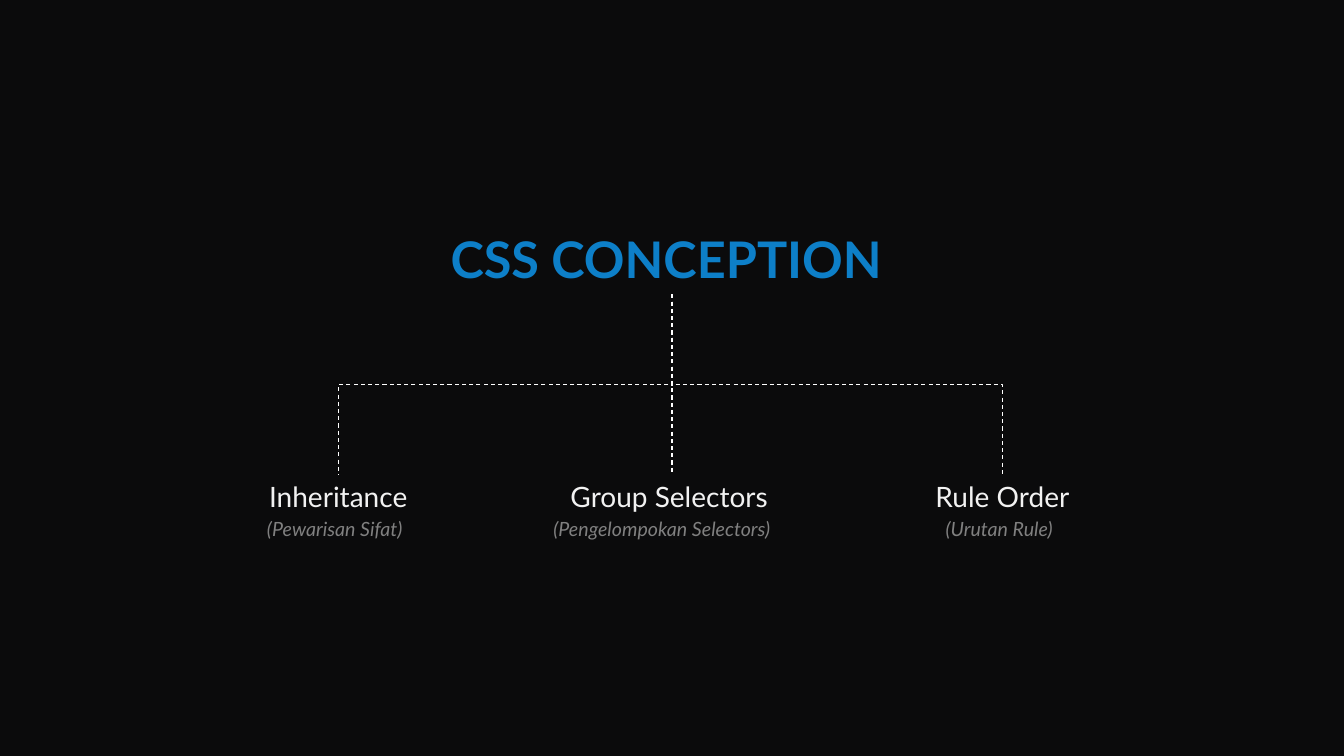
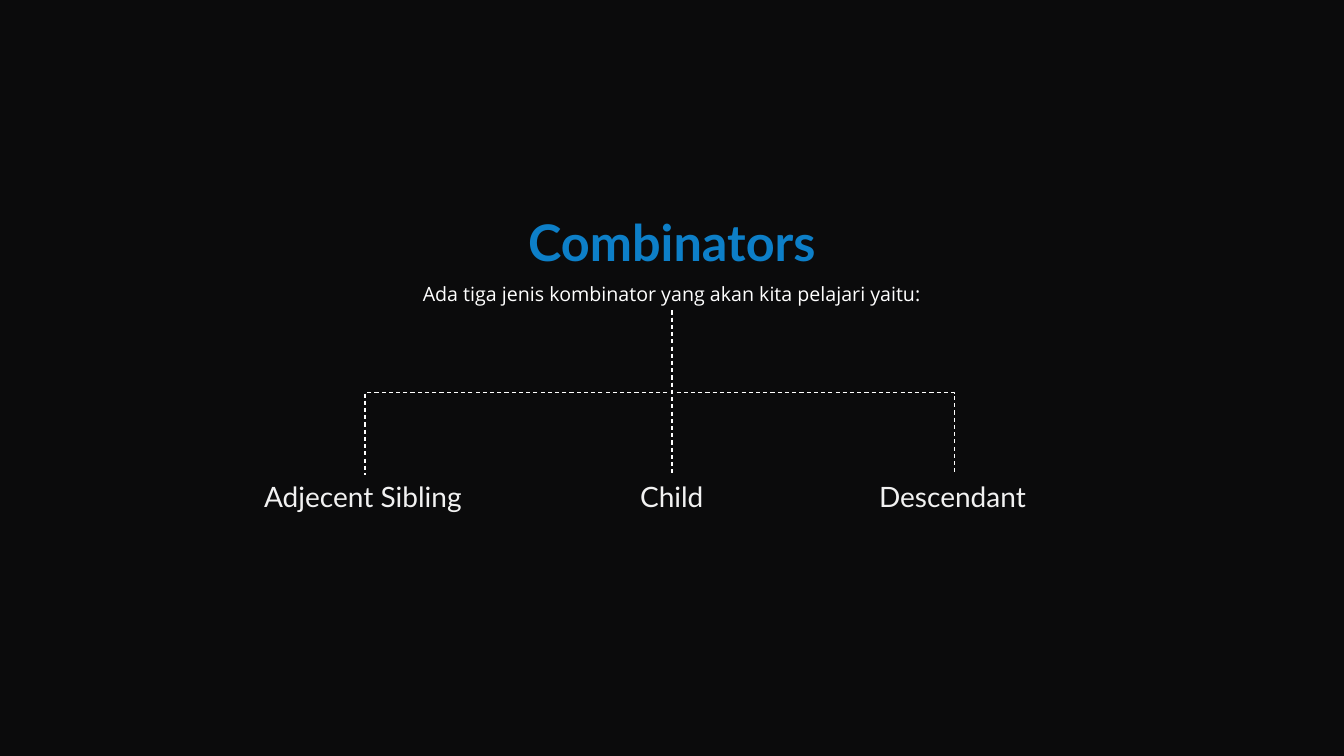
from lxml import etree
from pptx import Presentation
from pptx import util as u
from pptx.dml.color import RGBColor
from pptx.enum import dml, shapes, text
from pptx.oxml.ns import qn

BACKGROUND = RGBColor(0x0B, 0x0B, 0x0C)
BLUE = RGBColor(0x0D, 0x7F, 0xC8)
WHITE = RGBColor(0xFF, 0xFF, 0xFF)
PALE = RGBColor(0xF2, 0xF2, 0xF2)
GRAY = RGBColor(0x80, 0x80, 0x80)

WIDTH, HEIGHT = 13.33, 7.5
CENTER = WIDTH / 2
BRANCH_TOP, NOTE_TOP = 4.71, 5.08

# Style: font, size, colour, bold, italic, box height
TITLE = ("Lato", 36, BLUE, True, False, 0.71)
INTRO = ("Open Sans", 14, WHITE, False, False, 0.34)
BRANCH = ("Lato", 20, PALE, False, False, 0.44)
NOTE = ("Lato", 14, GRAY, False, True, 0.34)

# Heading: text, style, top, width, centred
# Branch: line end, then (text, left, width) for the name and its note
SLIDES = [
    {
        "headings": [("CSS CONCEPTION", TITLE, 2.21, 4.59, False)],
        "trunk_top": 2.92,
        "branches": [
            (3.36, ("Inheritance", 2.57, 1.58), ("(Pewarisan Sifat)", 2.55, 1.64)),
            (CENTER, ("Group Selectors", 5.56, 2.21),
             ("(Pengelompokan Selectors)", 5.39, 2.56)),
            (9.94, ("Rule Order", 9.18, 1.53), ("(Urutan Rule)", 9.28, 1.32)),
        ],
    },
    {
        "headings": [
            ("Combinators", TITLE, 2.04, WIDTH, True),
            ("Ada tiga jenis kombinator yang akan kita pelajari yaitu:",
             INTRO, 2.75, WIDTH, True),
        ],
        "trunk_top": 3.08,
        "branches": [
            (3.62, ("Adjecent Sibling", 2.52, 2.18)),
            (CENTER, ("Child", 6.25, 0.84)),
            (9.47, ("Descendant", 8.62, 1.68)),
        ],
    },
]


def add_label(slide, words, style, left, top, width, centred=False):
    font_name, size, color, bold, italic, height = style
    label = slide.shapes.add_textbox(*map(u.Inches, (left, top, width, height)))
    frame = label.text_frame
    frame.text = words
    frame.word_wrap = centred
    frame.auto_size = text.MSO_AUTO_SIZE.SHAPE_TO_FIT_TEXT
    paragraph = frame.paragraphs[0]
    paragraph.alignment = text.PP_ALIGN.CENTER if centred else text.PP_ALIGN.LEFT
    font = paragraph.runs[0].font
    font.name, font.size = font_name, u.Pt(size)
    font.bold, font.italic = bold, italic
    font.color.rgb = color


def add_branch_line(slide, top, end_x):
    """Draw a dashed elbow that leaves the trunk downwards.

    An elbow runs sideways first, so its ends are laid out a quarter turn
    away about its middle, and the rotation brings them back.
    """
    run, drop = end_x - CENTER, BRANCH_TOP - top
    middle_x, middle_y = CENTER + run / 2, top + drop / 2
    side = 1 if run > 0 else -1
    dx, dy = side * drop / 2, side * run / 2
    ends = (middle_x + dx, middle_y - dy, middle_x - dx, middle_y + dy)
    elbow = slide.shapes.add_connector(
        shapes.MSO_CONNECTOR.ELBOW, *map(u.Inches, ends))
    elbow.line.color.rgb = WHITE
    elbow.line.width = u.Pt(0.75)
    elbow.line.dash_style = dml.MSO_LINE.DASH
    properties = elbow._element.spPr
    degrees = 270 if side > 0 else 90
    properties.find(qn("a:xfrm")).set("rot", str(degrees * 60000))
    etree.SubElement(properties, qn("a:effectLst"))


def add_tree_slide(deck, content):
    slide = deck.slides.add_slide(deck.slide_layouts[6])
    slide.background.fill.solid()
    slide.background.fill.fore_color.rgb = BACKGROUND
    for words, style, top, width, centred in content["headings"]:
        add_label(slide, words, style, CENTER - width / 2, top, width, centred)
    for end_x, *labels in content["branches"]:
        rows = ((BRANCH, BRANCH_TOP), (NOTE, NOTE_TOP))
        for (words, left, width), (style, top) in zip(labels, rows):
            add_label(slide, words, style, left, top, width)
        add_branch_line(slide, content["trunk_top"], end_x)


def main():
    deck = Presentation()
    deck.slide_width, deck.slide_height = u.Inches(WIDTH), u.Inches(HEIGHT)
    for content in SLIDES:
        add_tree_slide(deck, content)
    deck.save("out.pptx")


if __name__ == "__main__":
    main()
